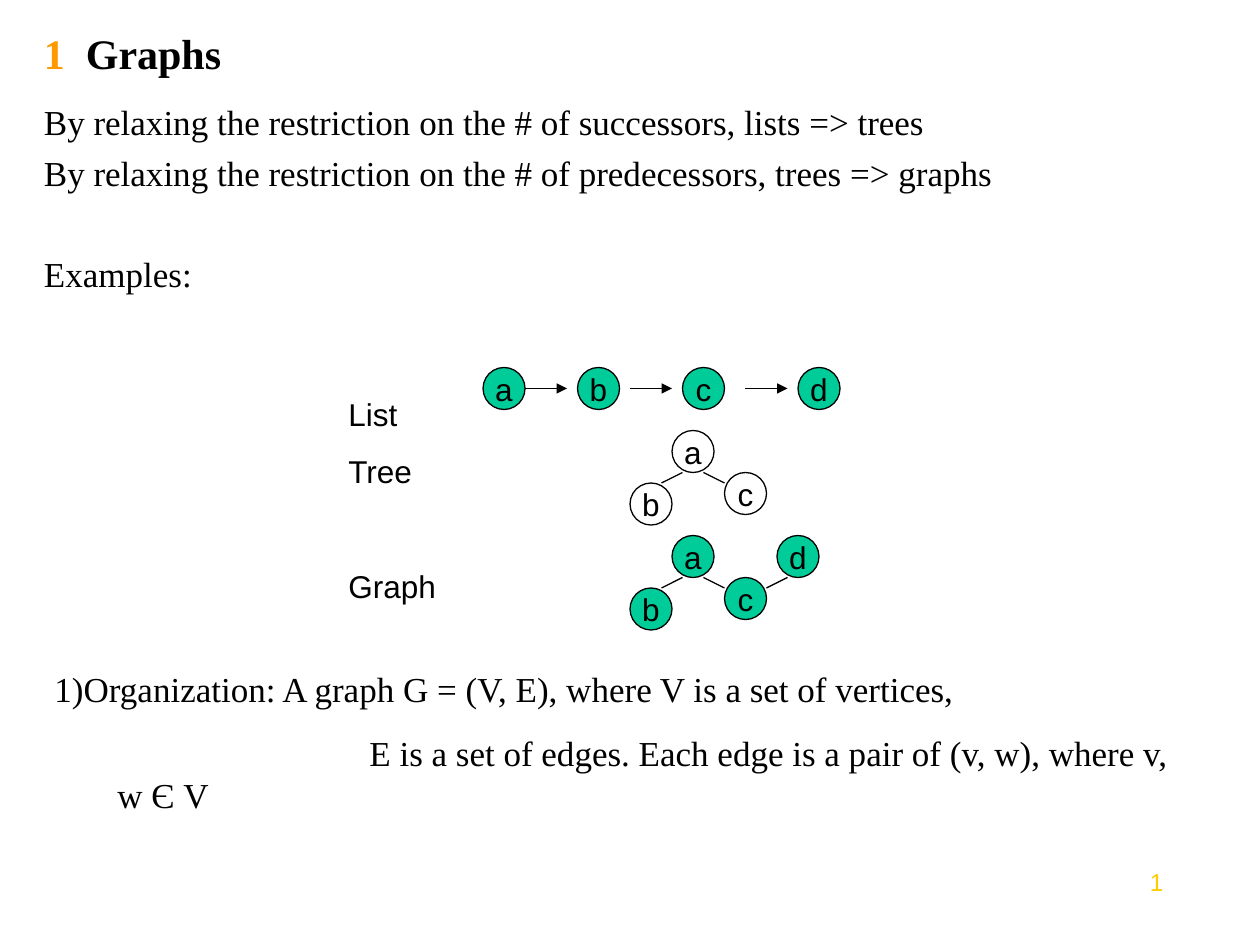
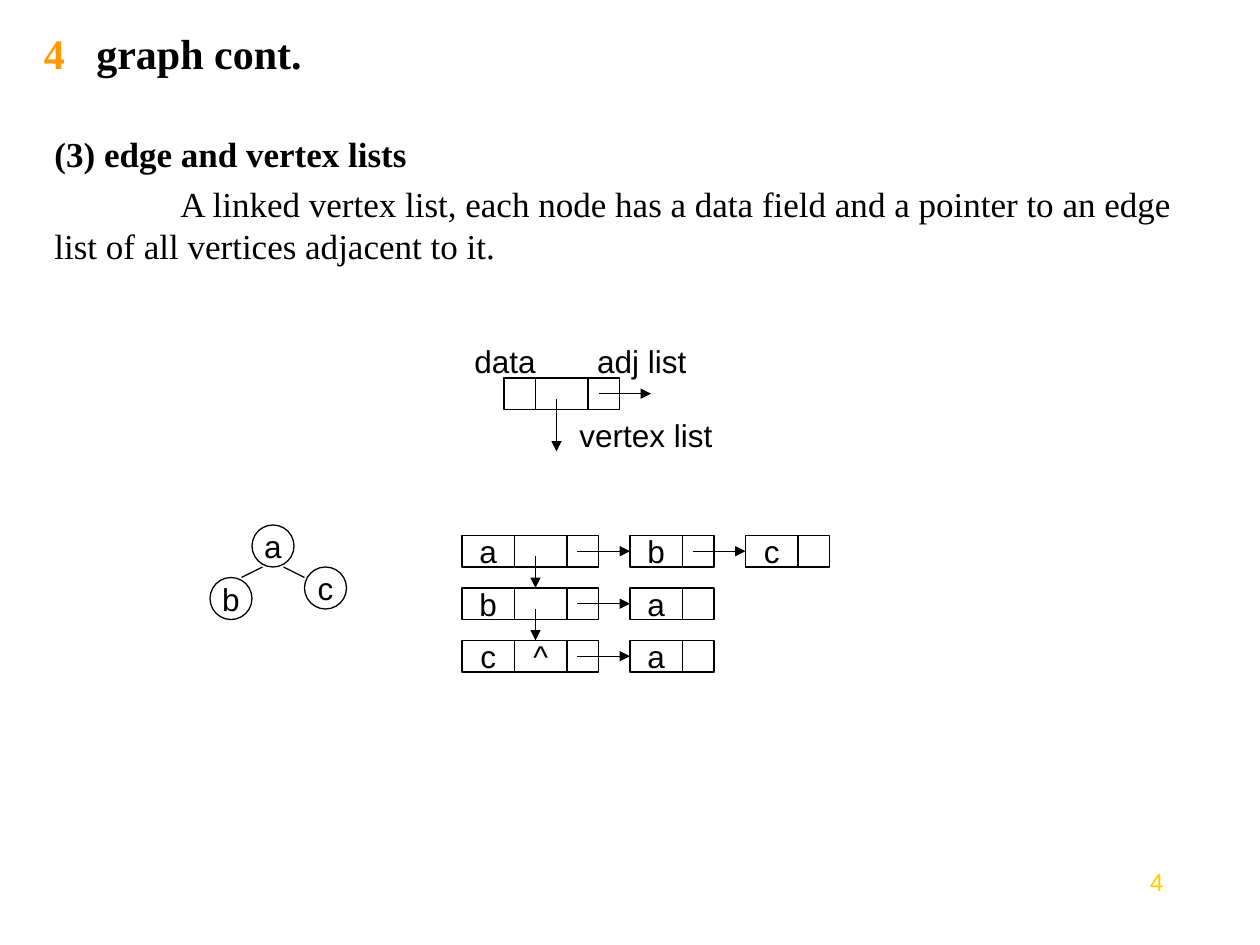
"""Build two slides on graphs: what they are, and edge and vertex lists."""
from dataclasses import dataclass

from lxml import etree
from pptx import Presentation, util as u
from pptx.dml.color import RGBColor as Rgb
from pptx.enum import shapes as kinds, text as txt
from pptx.oxml.ns import qn


@dataclass(frozen=True)
class Theme:
    """Colours, fonts and type sizes shared by the slides."""
    ink: Rgb = Rgb(0x00, 0x00, 0x00)
    node: Rgb = Rgb(0x00, 0xCC, 0x99)
    count: Rgb = Rgb(0xFF, 0x99, 0x00)
    page: Rgb = Rgb(0xFF, 0xCC, 0x00)
    serif: str = "Times New Roman"
    sans: str = "Arial"
    head: int = 24
    body: int = 20
    label: int = 18
    foot: int = 14
    line: float = 0.75


THEME = Theme()
WIDE, HIGH = u.Inches(10), u.Inches(7.5)
COLS, ROWS = 120, 90
DATA, LINK, CELL = 5, 3, 3
NODE = 4


def grid(col, row):
    """Turn columns and rows into lengths on the slide."""
    return round(col * WIDE / COLS), round(row * HIGH / ROWS)


def style(para, size, font, color=THEME.ink, bold=False):
    """Format every run of a paragraph."""
    for run in para.runs:
        run.font.size, run.font.name, run.font.bold = u.Pt(size), font, bold
        run.font.color.rgb = color


def write(slide, box, lines, size, font, gap=0):
    """Add a wrapped text box with one paragraph per line."""
    frame = slide.shapes.add_textbox(*grid(*box[:2]), *grid(*box[2:])).text_frame
    frame.word_wrap = True
    frame.text = "\n".join(lines)
    for para in frame.paragraphs:
        para.space_before = u.Pt(gap)
        style(para, size, font)
    return frame


def indent(para, left, first):
    """Set the left margin and first-line indent in inches."""
    prop = para._p.get_or_add_pPr()
    prop.set("marL", str(u.Inches(left)))
    prop.set("indent", str(u.Inches(first)))


def title(slide, count, name, stop):
    """Write a coloured number and, at a tab stop, the slide's name."""
    frame = write(slide, (3, 2, 101, 6), [count], THEME.head, THEME.serif)
    frame.vertical_anchor = txt.MSO_ANCHOR.MIDDLE
    para = frame.paragraphs[0]
    para.add_run().text = "\t" + name
    style(para, THEME.head, THEME.serif, bold=True)
    para.runs[0].font.color.rgb = THEME.count
    tabs = etree.SubElement(para._p.get_or_add_pPr(), qn("a:tabLst"))
    etree.SubElement(tabs, qn("a:tab"), pos=str(grid(stop, 0)[0]), algn="l")


def footer(slide, count):
    """Write the page number at the lower right."""
    para = write(slide, (104, 82, 8, 6), [count], THEME.foot, THEME.sans).paragraphs[0]
    para.alignment = txt.PP_ALIGN.RIGHT
    para.runs[0].font.color.rgb = THEME.page


def start(deck, count, name, stop):
    """Add a blank slide with its title and page number."""
    slide = deck.slides.add_slide(deck.slide_layouts[6])
    title(slide, count, name, stop)
    footer(slide, count)
    return slide


def shape(slide, kind, box, word="", fill=None):
    """Add an outlined shape with a centred word."""
    item = slide.shapes.add_shape(kind, *grid(*box[:2]), *grid(*box[2:]))
    item.shadow.inherit = False
    item.line.color.rgb, item.line.width = THEME.ink, u.Pt(THEME.line)
    if fill is None:
        item.fill.background()
    else:
        item.fill.solid()
        item.fill.fore_color.rgb = fill
    frame = item.text_frame
    frame.text = word
    frame.word_wrap = False
    frame.vertical_anchor = txt.MSO_ANCHOR.MIDDLE
    frame.paragraphs[0].alignment = txt.PP_ALIGN.CENTER
    style(frame.paragraphs[0], THEME.label, THEME.sans)
    return item


def node(slide, col, row, word, fill=None):
    """Add a round vertex."""
    shape(slide, kinds.MSO_SHAPE.OVAL, (col, row, NODE, NODE), word, fill)


def edge(slide, col, row, right, down, arrow=False):
    """Draw a line over a number of columns and rows."""
    item = slide.shapes.add_connector(
        kinds.MSO_CONNECTOR.STRAIGHT, *grid(col, row), *grid(col + right, row + down))
    item.line.color.rgb, item.line.width = THEME.ink, u.Pt(THEME.line)
    if arrow:
        etree.SubElement(item.line._get_or_add_ln(), qn("a:tailEnd"), type="triangle")
    etree.SubElement(item._element.spPr, qn("a:effectLst"))
    return item


def tree(slide, col, row, fill=None):
    """Draw vertex a above its neighbours b and c."""
    for word, right, down in (("a", 0, 0), ("b", -4, 5), ("c", 5, 4)):
        node(slide, col + right, row + down, word, fill)
    edge(slide, col - 1, row + 5, 2, -1)
    edge(slide, col + 3, row + 4, 2, 1)


def record(slide, col, row, cells):
    """Draw adjoining cells given as width and word; return the first."""
    boxes = []
    for width, word in cells:
        boxes.append(shape(slide, kinds.MSO_SHAPE.RECTANGLE, (col, row, width, CELL), word))
        col += width
    return boxes[0]


def chain(slide, row, word, down, others):
    """Draw a vertex record and its linked edge records."""
    record(slide, 44, row, ((DATA, word), (DATA, down), (LINK, "")))
    for step, other in enumerate(others):
        col = 60 + 11 * step
        first = record(slide, col, row, ((DATA, other), (LINK, "")))
        edge(slide, col - 5, row + CELL / 2, 5, 0, True).end_connect(first, 1)


def intro(deck):
    """Slide on lists, trees and graphs."""
    slide = start(deck, "1", "Graphs", 4)
    body = write(slide, (3, 9, 112, 21), (
        "By relaxing the restriction on the # of successors, lists => trees",
        "By relaxing the restriction on the # of predecessors, trees => graphs",
        "Examples:"), THEME.body, THEME.serif, 5)
    body.paragraphs[2].space_before = u.Pt(34)
    names = write(slide, (32, 37, 12, 21), ("List", "Tree", "Graph"),
                  THEME.label, THEME.sans, 11.2)
    names.paragraphs[2].space_before = u.Pt(44)
    for word, col in zip("abcd", (46, 55, 65, 76)):
        node(slide, col, 35, word, THEME.node)
    for col in (50, 60, 71):
        edge(slide, col, 37, 4, 0, True)
    tree(slide, 64, 41)
    tree(slide, 64, 51, THEME.node)
    node(slide, 74, 51, "d", THEME.node)
    edge(slide, 73, 56, 2, -1)
    facts = write(slide, (4, 63, 110, 15), (
        "1)Organization: A graph G = (V, E), where V is a set of vertices,",
        "E is a set of edges. Each edge is a pair of (v, w), where v, w Є V"),
        THEME.body, THEME.serif, 12.5)
    indent(facts.paragraphs[1], 0.5, 2)


def lists(deck):
    """Slide on edge and vertex lists."""
    slide = start(deck, "4", "graph cont.", 5)
    body = write(slide, (4, 12, 110, 14), (
        "(3) edge and vertex lists",
        "A linked vertex list, each node has a data field and a pointer to an edge "
        "list of all vertices adjacent to it."), THEME.body, THEME.serif, 5)
    style(body.paragraphs[0], THEME.body, THEME.serif, bold=True)
    indent(body.paragraphs[1], 0, 1)
    record(slide, 48, 36, ((LINK, ""), (DATA, ""), (LINK, "")))
    edge(slide, 57, 37.5, 5, 0, True)
    edge(slide, 53, 38, 0, 5, True)
    for word, col, row in (("data", 44, 32), ("adj list", 55.7, 32), ("vertex list", 54, 39)):
        write(slide, (col, row, 18, 5), [word], THEME.label, THEME.sans)
    tree(slide, 24, 50)
    for step, (word, down, others) in enumerate((("a", "", "bc"), ("b", "", "a"), ("c", "^", "a"))):
        row = 51 + 5 * step
        chain(slide, row, word, down, others)
        if not down:
            edge(slide, 51, row + 2, 0, 3, True)


def main():
    """Build and save the deck."""
    deck = Presentation()
    deck.slide_width, deck.slide_height = WIDE, HIGH
    intro(deck)
    lists(deck)
    deck.save("out.pptx")


if __name__ == "__main__":
    main()
